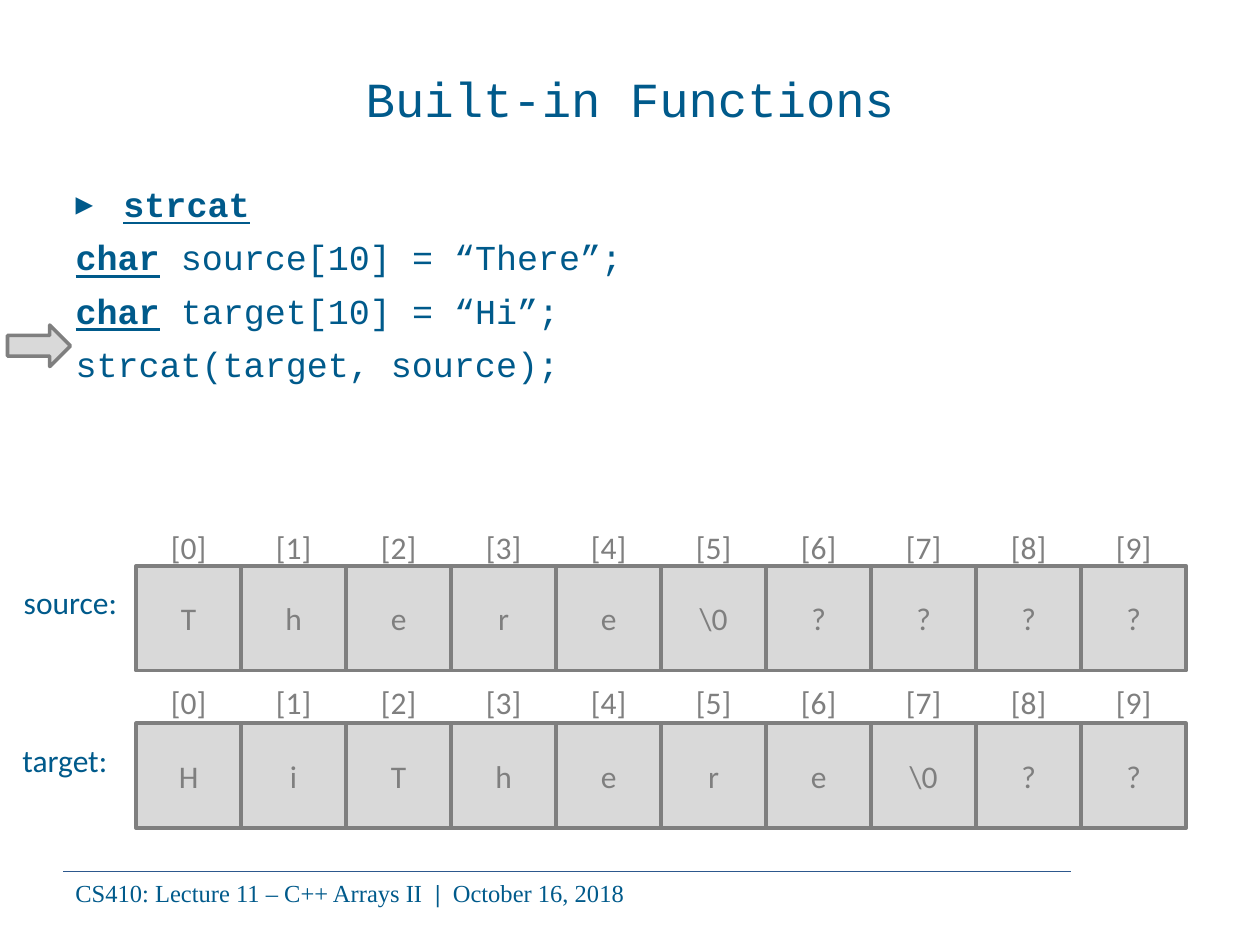
import lxml.etree
import pptx
import pptx.dml.color
import pptx.enum.shapes
import pptx.enum.text
import pptx.oxml.ns
import pptx.util

Inches, Pt = pptx.util.Inches, pptx.util.Pt
RGBColor = pptx.dml.color.RGBColor
SHAPE = pptx.enum.shapes.MSO_SHAPE
ALIGN = pptx.enum.text.PP_ALIGN
MIDDLE = pptx.enum.text.MSO_ANCHOR.MIDDLE
TOP = pptx.enum.text.MSO_ANCHOR.TOP
qn = pptx.oxml.ns.qn

BLUE = RGBColor(0x00, 0x5A, 0x8B)
RULE_BLUE = RGBColor(0x2D, 0x58, 0x8D)
GRAY = RGBColor(0x7F, 0x7F, 0x7F)
LIGHT_GRAY = RGBColor(0xD9, 0xD9, 0xD9)

TITLE = {"name": "Courier New", "size": Pt(28), "bold": False}
CODE = {"name": "Courier New", "size": Pt(20), "bold": False, "underline": False}
KEYWORD = {**CODE, "bold": True, "underline": True}
LABEL = {"name": "Calibri", "size": Pt(18)}
FOOTER = {"name": "Times New Roman", "size": Pt(14), "bold": False}

CELL = 5 / 6  # side of one array cell, in inches
ARRAY_LEFT = 1.08


def add_run(p, text, fmt, color):
    r = p.add_run()
    r.text = text
    for key, value in fmt.items():
        setattr(r.font, key, value)
    r.font.color.rgb = color


def set_frame(sp, anchor, wrap=True):
    tf = sp.text_frame
    tf.auto_size = pptx.enum.text.MSO_AUTO_SIZE.NONE
    tf.vertical_anchor = anchor
    tf.word_wrap = wrap
    return tf


def place(sp, left, top, width, height):
    box = {"left": left, "top": top, "width": width, "height": height}
    for key, value in box.items():
        setattr(sp, key, Inches(value))


def add_label(s, text, left, top, width, height, color=BLUE, centred=False):
    sp = s.shapes.add_textbox(*map(Inches, (left, top, width, height)))
    tf = set_frame(sp, MIDDLE if centred else TOP, wrap=centred)
    p = tf.paragraphs[0]
    p.alignment = ALIGN.CENTER if centred else ALIGN.LEFT
    add_run(p, text, LABEL, color)


def add_block(s, kind, left, top, width, height):
    sp = s.shapes.add_shape(kind, *map(Inches, (left, top, width, height)))
    sp.shadow.inherit = False
    sp.fill.solid()
    sp.fill.fore_color.rgb = LIGHT_GRAY
    sp.line.color.rgb = GRAY
    sp.line.width = Pt(2)
    return sp


def add_array(s, values, top, index_top):
    """Draw a row of cells with an index above each one."""
    for i, value in enumerate(values):
        left = ARRAY_LEFT + i * CELL
        sp = add_block(s, SHAPE.RECTANGLE, left, top, CELL, CELL)
        p = set_frame(sp, MIDDLE).paragraphs[0]
        p.alignment = ALIGN.CENTER
        add_run(p, value, LABEL, GRAY)
        add_label(s, f"[{i}]", left, index_top, CELL, CELL, GRAY, centred=True)


def set_bullet(p, char=None):
    """Give a paragraph a hanging indent and an optional bullet."""
    pPr = p._p.get_or_add_pPr()
    pPr.set("marL", str(Inches(0.38)))
    pPr.set("indent", str(-Inches(0.38)))
    if char is None:
        lxml.etree.SubElement(pPr, qn("a:buNone"))
        return
    clr = lxml.etree.SubElement(pPr, qn("a:buClr"))
    lxml.etree.SubElement(clr, qn("a:srgbClr")).set("val", str(BLUE))
    lxml.etree.SubElement(pPr, qn("a:buChar")).set("char", char)


def fill_title(s, text):
    sp = s.shapes.title
    place(sp, 0.5, 0.3, 9, 0.95)
    p = set_frame(sp, MIDDLE).paragraphs[0]
    p.alignment = ALIGN.CENTER
    add_run(p, text, TITLE, BLUE)


def fill_code(s, lines):
    sp = s.placeholders[1]
    place(sp, 0.5, 1.33, 8.58, 5.38)
    tf = set_frame(sp, TOP)
    tf.margin_top = Inches(0.12)
    for i, (keyword, rest) in enumerate(lines):
        p = tf.add_paragraph() if i else tf.paragraphs[0]
        set_bullet(p, None if i else "▸")
        p.space_before = Pt(6.4 if i else 0)
        for text, fmt in ((keyword, KEYWORD), (rest, CODE)):
            if text:
                add_run(p, text, fmt, BLUE)


def add_footer(s):
    ends = map(Inches, (0.5, 6.92, 8.5, 6.92))
    line = s.shapes.add_connector(pptx.enum.shapes.MSO_CONNECTOR.STRAIGHT, *ends)
    line.line.color.rgb = RULE_BLUE
    line.line.width = Pt(0.5)
    lxml.etree.SubElement(line._element.spPr, qn("a:effectLst"))

    sp = s.shapes.add_textbox(*map(Inches, (0.5, 6.92, 8.17, 0.34)))
    p = set_frame(sp, TOP).paragraphs[0]
    add_run(p, "CS410: Lecture 11 – C++ Arrays II  ", FOOTER, BLUE)
    add_run(p, "|  ", {**FOOTER, "bold": True}, BLUE)
    add_run(p, "October 16, 2018", FOOTER, BLUE)


def main():
    prs = pptx.Presentation()
    prs.slide_width, prs.slide_height = Inches(10), Inches(7.5)
    s = prs.slides.add_slide(prs.slide_layouts[1])

    # Footer, title and code
    add_footer(s)
    fill_title(s, "Built-in Functions")
    fill_code(s, [
        ("strcat", ""),
        ("char", " source[10] = “There”;"),
        ("char", " target[10] = “Hi”;"),
        ("", "strcat(target, source);"),
    ])

    # Memory contents of both arrays
    add_array(s, ["T", "h", "e", "r", "e", "\\0", "?", "?", "?", "?"], 4.49, 3.92)
    add_label(s, "source:", 0.09, 4.58, 0.94, 0.4)
    add_array(s, ["H", "i", "T", "h", "e", "r", "e", "\\0", "?", "?"], 5.74, 5.15)
    add_label(s, "target:", 0.08, 5.83, 0.88, 0.4)

    # Marker for the current statement
    add_block(s, SHAPE.RIGHT_ARROW, 0.06, 2.58, 0.5, 0.33)
    prs.save("out.pptx")


if __name__ == "__main__":
    main()
